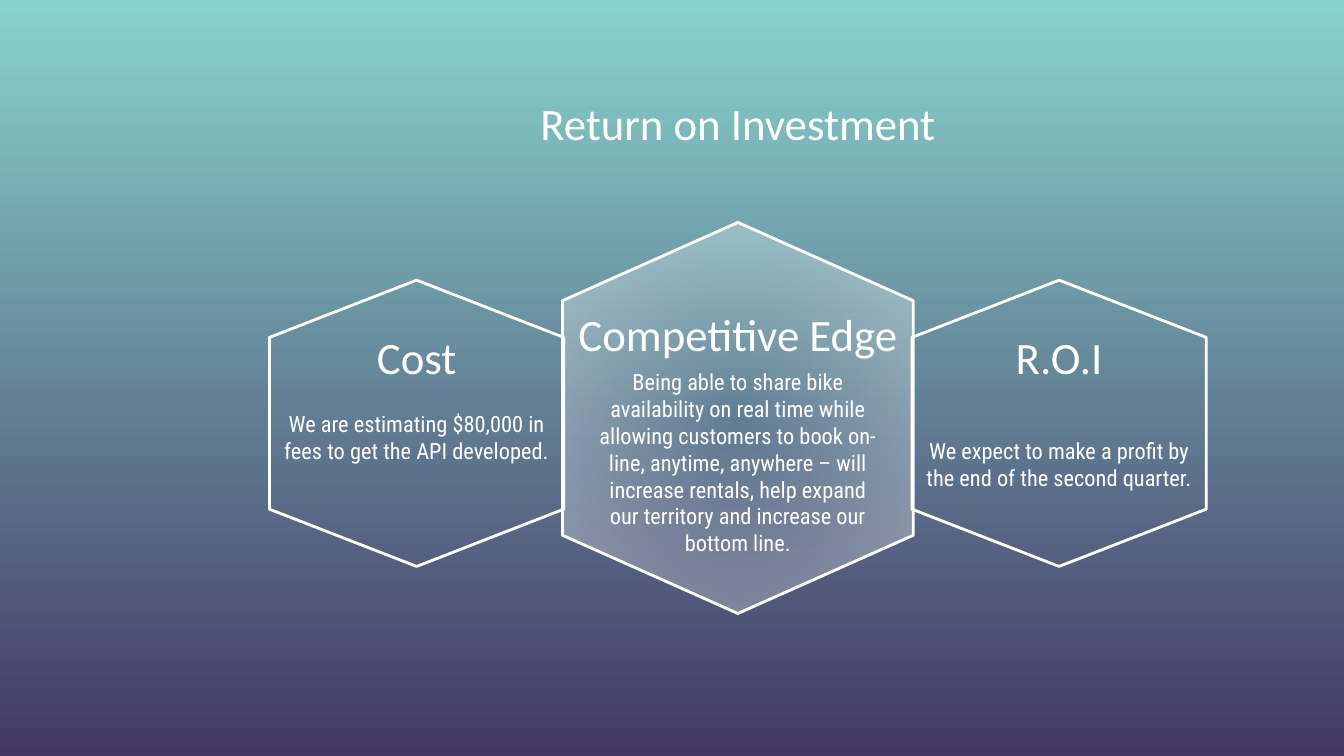
from dataclasses import dataclass

from lxml import etree
from pptx import Presentation
from pptx.dml.color import RGBColor
from pptx.enum import shapes, text
from pptx.oxml import ns
from pptx.util import Inches, Pt

WHITE = "FFFFFF"
SLIDE_WIDTH = 10
SLIDE_HEIGHT = SLIDE_WIDTH * 9 / 16
CENTER_X = 5.49
STEP_X = 2.39
HEADING_HEIGHT = 0.29
BODY_WIDTH = 2.28


@dataclass
class Panel:
    """One hexagon with its heading and explanation."""

    heading: str
    body: str
    hexagon_size: tuple[float, float]
    middle_y: float
    heading_top: float
    heading_width: float
    body_top: float
    body_height: float
    glowing: bool = False


PANELS = [
    Panel("Cost", "We are estimating $80,000 in fees to get the API developed.",
          (2.13, 2.19), 3.15, 2.66, 2.52, 2.95, 0.53),
    Panel("Competitive Edge",
          "Being able to share bike availability on real time while allowing "
          "customers to book on-line, anytime, anywhere – will increase rentals, "
          "help expand our territory and increase our bottom line.",
          (2.91, 2.61), 3.11, 2.49, 2.61, 2.64, 1.73, glowing=True),
    Panel("R.O.I", "We expect to make a profit by the end of the second quarter.",
          (2.13, 2.19), 3.15, 2.66, 2.52, 3.15, 1.12),
]


def color(value: str) -> RGBColor:
    """Turn a hex string into a colour."""
    return RGBColor.from_string(value)


def paint_background(slide, top: str, bottom: str) -> None:
    """Fill the slide with a vertical gradient."""
    fill = slide.background.fill
    fill.gradient()
    fill.gradient_angle = 270
    for stop, value, position in zip(fill.gradient_stops, (top, bottom), (0, 1)):
        stop.color.rgb = color(value)
        stop.position = position


def add_glow(hexagon) -> None:
    """Fill a hexagon with white that fades out towards its centre."""
    hexagon.fill.gradient()
    for stop, position in zip(hexagon.fill.gradient_stops, (0, 1)):
        stop.color.rgb = color(WHITE)
        stop.position = position
    gradient = hexagon._element.spPr.find(ns.qn("a:gradFill"))
    for white, opacity in zip(gradient.iter(ns.qn("a:srgbClr")), (0, 39)):
        etree.SubElement(white, ns.qn("a:alpha"), val=str(opacity * 1000))
    gradient.remove(gradient.find(ns.qn("a:lin")))
    circle = etree.SubElement(gradient, ns.qn("a:path"), path="circle")
    etree.SubElement(circle, ns.qn("a:fillToRect"),
                     {side: "50000" for side in "ltrb"})


def add_hexagon(slide, panel: Panel, center_x: float) -> None:
    """Draw the outlined upright hexagon of a panel."""
    width, height = panel.hexagon_size
    hexagon = slide.shapes.add_shape(
        shapes.MSO_SHAPE.FLOWCHART_PREPARATION,
        Inches(center_x - width / 2), Inches(panel.middle_y - height / 2),
        Inches(width), Inches(height))
    hexagon.rotation = 90
    hexagon.shadow.inherit = False
    hexagon.line.color.rgb = color(WHITE)
    hexagon.line.width = Pt(1.5)
    if panel.glowing:
        add_glow(hexagon)
    else:
        hexagon.fill.background()


def write(box, words: str, font: str, size: int, anchor: text.MSO_ANCHOR) -> None:
    """Set centred white text in a box."""
    frame = box.text_frame
    frame.text = words
    frame.word_wrap = True
    frame.auto_size = text.MSO_AUTO_SIZE.NONE
    frame.vertical_anchor = anchor
    frame.margin_left = frame.margin_right = Inches(0.1)
    frame.margin_top = frame.margin_bottom = Inches(0.1)
    paragraph = frame.paragraphs[0]
    paragraph.alignment = text.PP_ALIGN.CENTER
    run = paragraph.runs[0]
    run.font.name = font
    run.font.size = Pt(size)
    run.font.color.rgb = color(WHITE)


def add_label(slide, center_x: float, top: float, width: float, height: float):
    """Add an empty text box centred on a column."""
    return slide.shapes.add_textbox(Inches(center_x - width / 2), Inches(top),
                                    Inches(width), Inches(height))


def add_panel(slide, panel: Panel, center_x: float) -> None:
    """Draw a hexagon with its heading and body text."""
    add_hexagon(slide, panel, center_x)
    heading = add_label(slide, center_x, panel.heading_top,
                        panel.heading_width, HEADING_HEIGHT)
    write(heading, panel.heading, "Calibri", 24, text.MSO_ANCHOR.BOTTOM)
    body = add_label(slide, center_x, panel.body_top,
                     BODY_WIDTH, panel.body_height)
    write(body, panel.body, "Roboto Condensed", 12, text.MSO_ANCHOR.TOP)


def main() -> None:
    """Build the return on investment slide."""
    deck = Presentation()
    deck.slide_width = Inches(SLIDE_WIDTH)
    deck.slide_height = Inches(SLIDE_HEIGHT)
    slide = deck.slides.add_slide(deck.slide_layouts[5])
    paint_background(slide, "88D3CE", "423864")

    for column, panel in enumerate(PANELS, start=-1):
        add_panel(slide, panel, CENTER_X + column * STEP_X)

    title = slide.shapes.title
    title.left, title.top = Inches(CENTER_X - 1.9), Inches(0.92)
    title.width, title.height = Inches(3.8), Inches(HEADING_HEIGHT)
    write(title, "Return on Investment", "Calibri", 24, text.MSO_ANCHOR.BOTTOM)

    deck.save("out.pptx")


if __name__ == "__main__":
    main()
